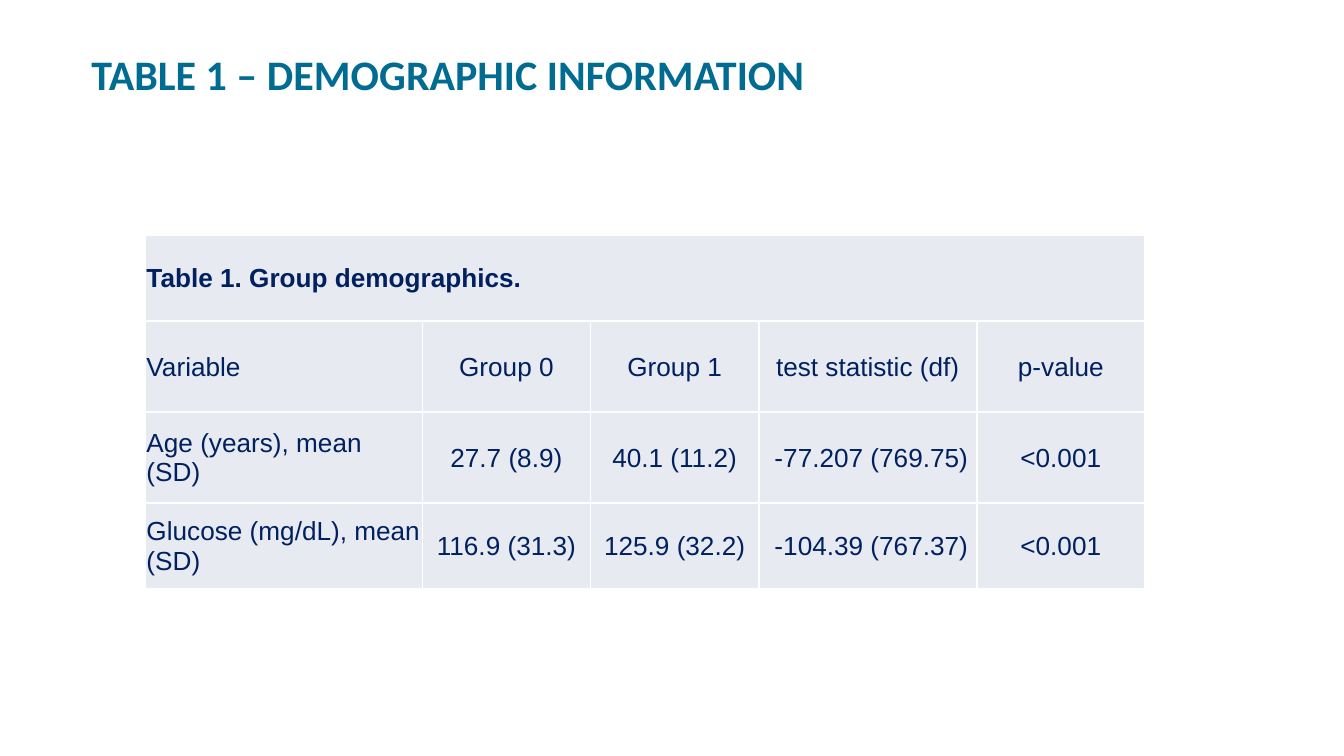
from lxml.etree import SubElement as Sub
from pptx import Presentation
from pptx.dml.color import RGBColor as Rgb
from pptx.enum.text import MSO_ANCHOR as Anchor, PP_ALIGN as Align
from pptx.oxml.ns import qn
from pptx.util import Inches as In, Pt

TITLE = "TABLE 1 – DEMOGRAPHIC INFORMATION"
ROWS = [
    ["Table 1. Group demographics.\u00a0"],
    ["Variable", "Group 0", "Group 1", "test statistic (df)", "p-value"],
    ["Age (years), mean (SD)", "27.7 (8.9)", "40.1 (11.2)", " -77.207 (769.75)", "<0.001"],
    ["Glucose (mg/dL), mean (SD)", "116.9 (31.3)", "125.9 (32.2)", " -104.39 (767.37)", "<0.001"],
]
WIDE, HIGH = 7.44, 2.63
WIDTHS = [2.06, 1.25, 1.25, 1.62, 1.25]
HEIGHTS = [0.64, 0.68, 0.68, 0.64]
WHITE, TEAL, NAVY, PALE = "FFFFFF", "006C92", "002060", "E7EBF1"


def paint(fill, hue):
    """Give a fill one solid colour."""
    fill.solid()
    fill.fore_color.rgb = Rgb.from_string(hue)


def write(frame, text, font, size, hue, bold=False, align=Align.LEFT):
    """Write one run of styled text into a frame."""
    para = frame.paragraphs[0]
    para.alignment = align
    run = para.add_run()
    run.text = text
    run.font.name, run.font.size, run.font.bold = font, Pt(size), bold
    run.font.color.rgb = Rgb.from_string(hue)


def inset(area, left, top, right, low):
    """Set the inner margins in inches and centre the text upright."""
    area.margin_left, area.margin_top = In(left), In(top)
    area.margin_right, area.margin_bottom = In(right), In(low)
    area.vertical_anchor = Anchor.MIDDLE


def edge(cell, hue, width):
    """Draw all four borders of a cell."""
    props = cell._tc.get_or_add_tcPr()
    for side in "LRTB":
        line = Sub(props, qn(f"a:ln{side}"), w=str(Pt(width)))
        Sub(Sub(line, qn("a:solidFill")), qn("a:srgbClr"), val=hue)


def share(total, parts):
    """Split a length in inches in proportion to the parts."""
    return [In(total * part / sum(parts)) for part in parts]


def add_title(slide):
    """Add the heading bar."""
    box = slide.shapes.add_textbox(In(0.18), In(0.21), In(9.53), In(0.67))
    paint(box.fill, WHITE)
    frame = box.text_frame
    frame.word_wrap = True
    inset(frame, 0.5, 0, 0, 0)
    write(frame, TITLE, "Calibri", 22.5, TEAL, True)


def add_grid(slide):
    """Add the table of group demographics."""
    grid = slide.shapes.add_table(
        len(ROWS), len(WIDTHS), In(1.08), In(1.75), In(WIDE), In(HIGH)
    ).table
    grid.first_row = grid.horz_banding = False
    for col, width in zip(grid.columns, share(WIDE, WIDTHS)):
        col.width = width
    for row, height in zip(grid.rows, share(HIGH, HEIGHTS)):
        row.height = height
    grid.cell(0, 0).merge(grid.cell(0, len(WIDTHS) - 1))
    for r, row in enumerate(ROWS):
        for c, text in enumerate(row):
            cell = grid.cell(r, c)
            edge(cell, WHITE, 1)
            paint(cell.fill, PALE)
            inset(cell, 0.01, 0.01, 0.01, 0)
            align = Align.CENTER if c else Align.LEFT
            write(cell.text_frame, text, "Arial", 14, NAVY, r == 0, align)


def main():
    """Build and save the slide."""
    deck = Presentation()
    deck.slide_width = In(10)
    deck.slide_height = deck.slide_width * 9 // 16
    slide = deck.slides.add_slide(deck.slide_layouts[6])
    add_title(slide)
    add_grid(slide)
    deck.save("out.pptx")


if __name__ == "__main__":
    main()
